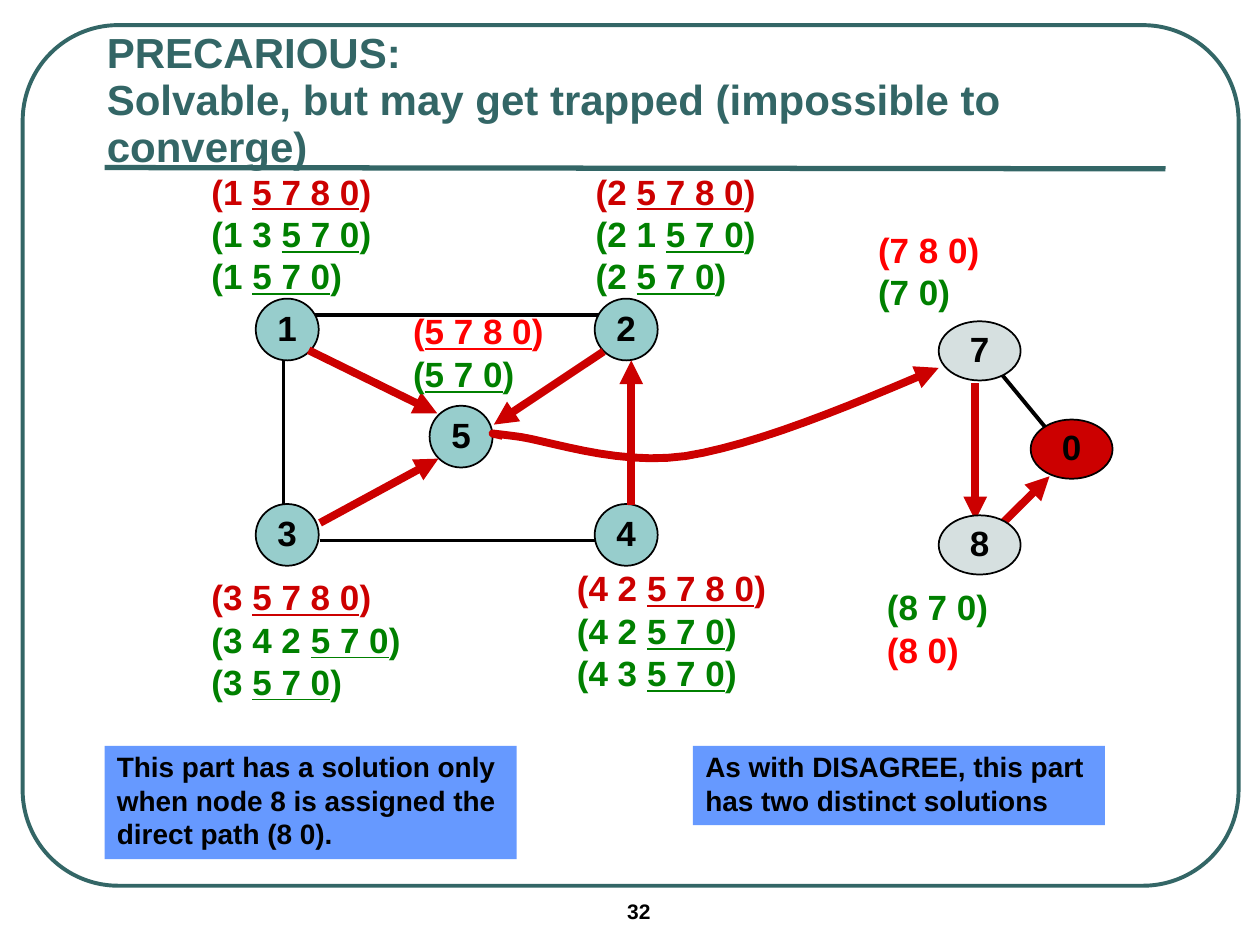
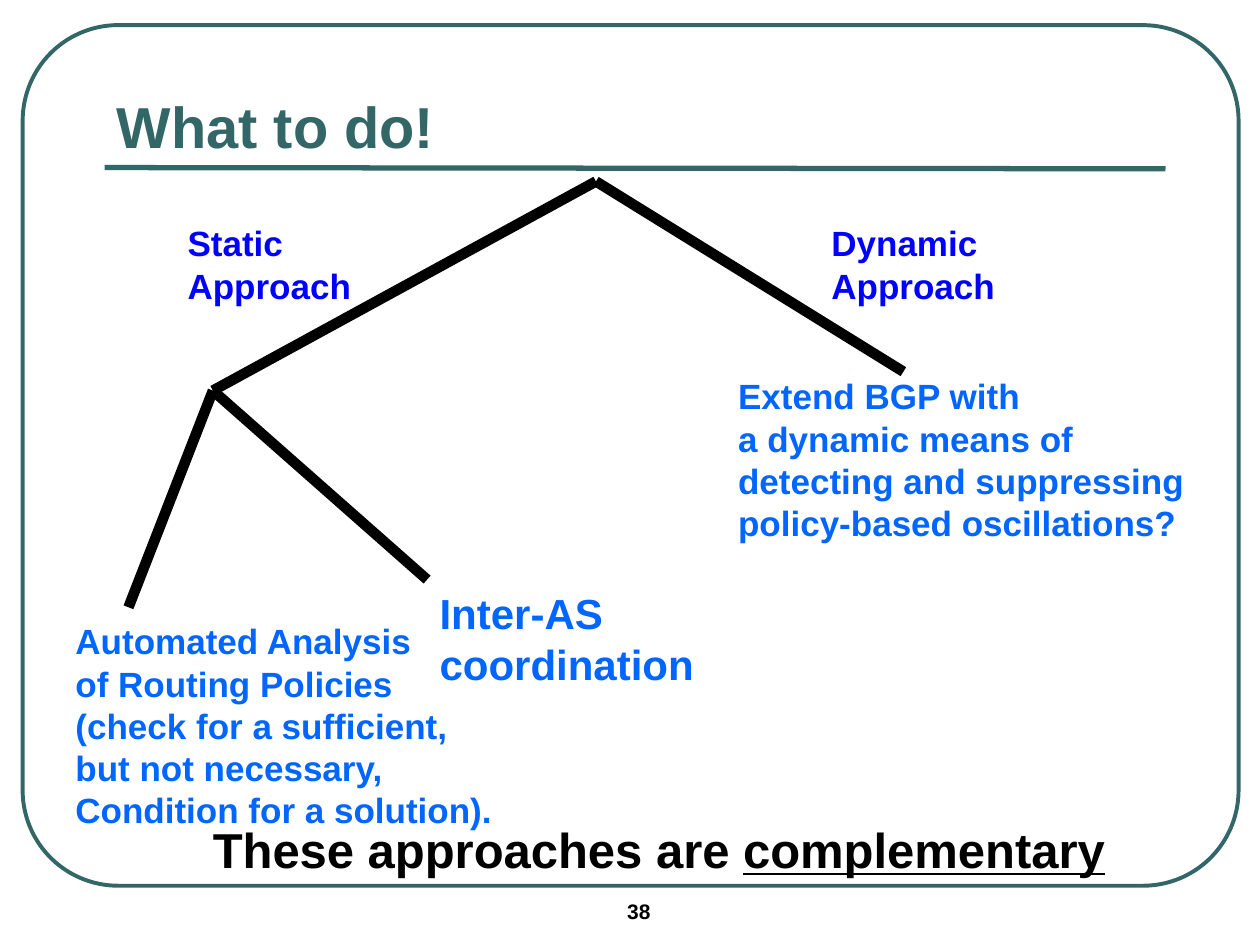
from dataclasses import dataclass
from lxml.etree import SubElement
from pptx import Presentation
from pptx.dml.color import RGBColor
from pptx.enum.shapes import MSO_CONNECTOR as Connector, MSO_SHAPE as Shape
from pptx.enum.text import MSO_ANCHOR as Anchor, PP_ALIGN as Align
from pptx.oxml.ns import qn
from pptx.util import Inches, Pt


@dataclass(frozen=True)
class Theme:
    font: str = "Arial"
    teal: str = "336666"
    black: str = "000000"
    crimson: str = "CC0000"
    red: str = "FF0000"
    green: str = "008000"
    blue: str = "0000FF"
    azure: str = "0066FF"
    callout: str = "6699FF"
    node: str = "97CDCC"
    gray: str = "D6E0E0"
    number_size: int = 12
    note_size: int = 16
    body_size: int = 20
    large_size: int = 24
    closing_size: int = 28
    title_size: int = 33
    first_spacing: float = 0.93


def write(frame, text, size, color=Theme.black, colors=(), align=Align.LEFT,
          anchor=Anchor.TOP, wrap=False, margins=(0.1, 0.05)):
    side, edge = map(Inches, margins)
    frame.margin_left = frame.margin_right = side
    frame.margin_top = frame.margin_bottom = edge
    frame.word_wrap = wrap
    frame.vertical_anchor = anchor
    for index, line in enumerate(text.split("\n")):
        para = frame.add_paragraph() if index else frame.paragraphs[0]
        para.alignment = align
        if index == 0:
            para.line_spacing = Theme.first_spacing
        line_color = colors[index] if colors else color
        for part, words in enumerate(line.split("_")):
            if not words:
                continue
            for piece, chunk in enumerate(words.split("\v")):
                if piece:
                    para.add_line_break()
                span = para.add_run()
                span.text = chunk
                font = span.font
                font.name, font.size, font.bold = Theme.font, Pt(size), True
                font.underline = part % 2 == 1
                font.color.rgb = RGBColor.from_string(line_color)


def bezier(start, first, second, end, steps=12):
    for step in range(1, steps + 1):
        t = step / steps
        weights = ((1 - t) ** 3, 3 * t * (1 - t) ** 2, 3 * t * t * (1 - t), t ** 3)
        yield tuple(sum(w * point[axis] for w, point in
                        zip(weights, (start, first, second, end))) for axis in (0, 1))


class SlideBuilder:
    def __init__(self, deck, theme):
        self.deck = deck
        self.theme = theme
        self.page = None

    def new_page(self, title, number, title_box, title_size):
        theme = self.theme
        self.page = self.deck.slides.add_slide(self.deck.slide_layouts[6])
        self.label(str(number), 4.88, 7.1, 1.17, 0.29, size=theme.number_size)
        border = self.shape(Shape.ROUNDED_RECTANGLE, 0.18, 0.2, 9.65, 6.83,
                            line=theme.teal, line_width=2.25)
        border.adjustments[0] = 0.111
        self.line((0.83, 1.33), (9.25, 1.34), theme.teal, 3)
        self.label(title, *title_box, size=title_size, color=theme.teal,
                   anchor=Anchor.BOTTOM, wrap=True)

    def label(self, text, left, top, width, height, size=Theme.body_size, **style):
        box = self.page.shapes.add_textbox(*map(Inches, (left, top, width, height)))
        write(box.text_frame, text, size, **style)

    def shape(self, kind, left, top, width, height, fill=None, line=None, line_width=1):
        box = self.page.shapes.add_shape(kind, *map(Inches, (left, top, width, height)))
        box.shadow.inherit = False
        if fill:
            box.fill.solid()
            box.fill.fore_color.rgb = RGBColor.from_string(fill)
        else:
            box.fill.background()
        if line:
            self.stroke(box, line, line_width)
        else:
            box.line.fill.background()
        return box

    def node(self, name, left, top, width, height, fill):
        box = self.shape(Shape.OVAL, left, top, width, height, fill, self.theme.black)
        write(box.text_frame, name, self.theme.body_size, align=Align.CENTER,
              anchor=Anchor.MIDDLE, margins=(0, 0))

    def callout(self, text, left, top, width, height):
        box = self.shape(Shape.RECTANGLE, left, top, width, height, self.theme.callout)
        write(box.text_frame, text, self.theme.note_size)

    def stroke(self, item, color, width, arrow=False):
        item.line.color.rgb = RGBColor.from_string(color)
        item.line.width = Pt(width)
        if arrow:
            outline = item._element.spPr.find(qn("a:ln"))
            SubElement(outline, qn("a:tailEnd"), type="triangle")

    def line(self, start, end, color=Theme.black, width=2.25, arrow=False):
        link = self.page.shapes.add_connector(
            Connector.STRAIGHT, *map(Inches, (*start, *end)))
        self.stroke(link, color, width, arrow)
        SubElement(link._element.spPr, qn("a:effectLst"))

    def arrow(self, start, end):
        self.line(start, end, self.theme.crimson, 4.5, arrow=True)

    def curved_arrow(self, start, *segments):
        points = [start]
        for first, second, end in segments:
            points.extend(bezier(points[-1], first, second, end))
        outline = [tuple(map(Inches, point)) for point in points]
        builder = self.page.shapes.build_freeform(*outline[0])
        builder.add_line_segments(outline[1:], close=False)
        curve = builder.convert_to_shape()
        curve.shadow.inherit = False
        curve.fill.background()
        self.stroke(curve, self.theme.crimson, 4.5, arrow=True)


def build_precarious(slide):
    theme = slide.theme
    slide.new_page("PRECARIOUS: \vSolvable, but may get trapped (impossible to converge)",
                   32, (0.75, 0.38, 8.5, 1.03), theme.large_size)

    slide.line((2.45, 2.5), (4.77, 2.5))
    for name, left, top in (("1", 2.03, 2.37), ("5", 3.41, 3.22), ("4", 4.72, 4),
                            ("3", 2.03, 4), ("2", 4.72, 2.37)):
        slide.node(name, left, top, 0.5, 0.49, theme.node)
    slide.line((2.54, 4.29), (4.72, 4.29))
    slide.line((2.25, 4.01), (2.25, 2.86))
    for start, end in (((5.01, 4.01), (5.01, 2.86)), ((2.54, 4.15), (3.48, 3.64)),
                       ((4.79, 2.79), (3.92, 3.37)), ((2.45, 2.78), (3.47, 3.28)),
                       ((7.74, 3.04), (7.74, 4.13)), ((7.84, 4.27), (8.33, 3.78))):
        slide.arrow(start, end)
    slide.line((7.85, 2.85), (8.32, 3.42))
    for name, left, top, fill in (("7", 7.45, 2.55, theme.gray),
                                  ("0", 8.18, 3.33, theme.crimson),
                                  ("8", 7.45, 4.09, theme.gray)):
        slide.node(name, left, top, 0.65, 0.47, fill)
    slide.curved_arrow((3.99, 3.46),
                       ((3.91, 3.44), (3.83, 3.43), (4.07, 3.46)),
                       ((4.31, 3.48), (4.88, 3.7), (5.44, 3.62)),
                       ((6, 3.53), (6.73, 3.23), (7.45, 2.92)))

    three_paths = (theme.crimson, theme.green, theme.green)
    red_first = (theme.red, theme.green)
    for text, left, top, width, height, colors in (
            ("(1 _5 7 8 0_)\n(1 3 _5 7 0_)\n(1 _5 7 0_)", 1.58, 1.33, 1.74, 1.08, three_paths),
            ("(3 _5 7 8 0_)\n(3 4 2 _5 7 0_)\n(3 _5 7 0_)", 1.58, 4.55, 2.46, 1.08, three_paths),
            ("(4 2 _5 7 8 0_)\n(4 2 _5 7 0_)\n(4 3 _5 7 0_)", 4.48, 4.48, 1.89, 1.08, three_paths),
            ("(2 _5 7 8 0_)\n(2 1 _5 7 0_)\n(2 _5 7 0_)", 4.63, 1.33, 1.67, 1.08, three_paths),
            ("(7 8 0)\n(7 0)", 6.87, 1.79, 1.01, 0.75, red_first),
            ("(8 7 0)\n(8 0)", 6.94, 4.63, 1.01, 0.75, red_first[::-1]),
            ("(_5 7 8 0_)\n(_5 7 0_)", 3.18, 2.44, 1.24, 0.75, red_first)):
        slide.label(text, left, top, width, height, colors=colors, wrap=True)

    slide.callout("As with DISAGREE, this part\nhas two distinct solutions",
                  5.5, 5.92, 3.27, 0.63)
    slide.callout("This part has a solution only\nwhen node 8 is assigned the\n"
                  "direct path (8 0).", 0.83, 5.92, 3.27, 0.9)


def build_what_to_do(slide):
    theme = slide.theme
    slide.new_page("What to do!", 38, (0.83, 0.58, 8.42, 0.75), theme.title_size)

    root, static = (4.73, 1.44), (1.69, 3.1)
    for start, end in ((static, root), (root, (7.17, 2.95)),
                       (static, (1.02, 4.82)), (static, (3.39, 4.6))):
        slide.line(start, end, width=6)

    for name, left in (("Static", 1.39), ("Dynamic", 6.5)):
        slide.label(f"{name}\nApproach", left, 1.74, 1.5, 0.75, color=theme.blue)
    slide.label("Inter-AS\ncoordination", 3.39, 4.65, 2.22, 0.88,
                size=theme.large_size, color=theme.azure)
    slide.label("Automated Analysis\nof Routing Policies\n(check for a sufficient,\n"
                "but not necessary,\nCondition for a solution).",
                0.5, 4.9, 3.58, 1.75, color=theme.azure)
    slide.label("Extend BGP with\na dynamic means of\ndetecting and suppressing\n"
                "policy-based oscillations?", 5.76, 2.95, 3.74, 1.41, color=theme.azure)
    slide.label("These approaches are _complementary_", 1.59, 6.5, 7.28, 0.54,
                size=theme.closing_size)


def main():
    deck = Presentation()
    deck.slide_width, deck.slide_height = Inches(10), Inches(7.5)
    slide = SlideBuilder(deck, Theme())
    build_precarious(slide)
    build_what_to_do(slide)
    deck.save("out.pptx")


if __name__ == "__main__":
    main()
